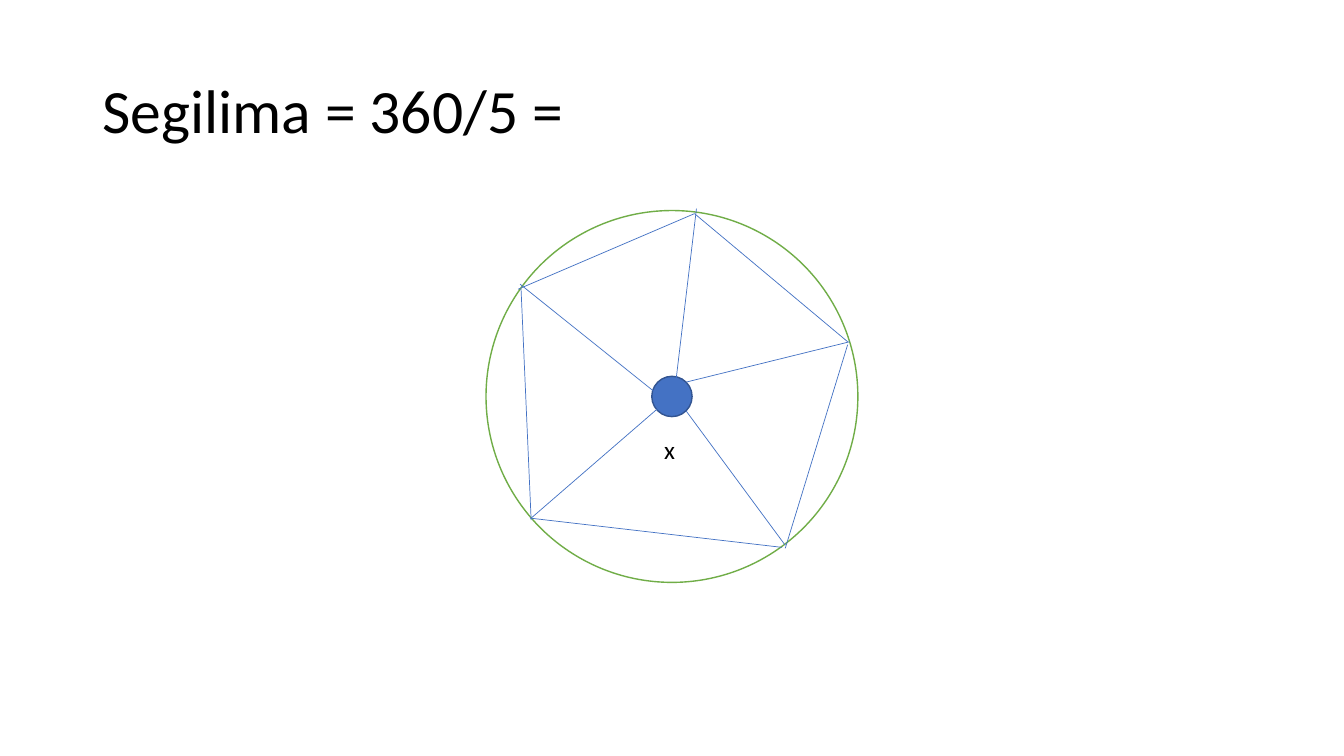
from dataclasses import dataclass

from lxml import etree
from pptx import Presentation
from pptx.dml.color import RGBColor
from pptx.enum.shapes import MSO_CONNECTOR, MSO_SHAPE
from pptx.enum.text import MSO_ANCHOR, MSO_AUTO_SIZE, PP_ALIGN
from pptx.oxml.ns import qn
from pptx.util import Pt

ELLIPSE = MSO_SHAPE.OVAL
STRAIGHT = MSO_CONNECTOR.STRAIGHT
LEFT = PP_ALIGN.LEFT
TOP, MIDDLE = MSO_ANCHOR.TOP, MSO_ANCHOR.MIDDLE
GROW = MSO_AUTO_SIZE.SHAPE_TO_FIT_TEXT
NO_FIT = MSO_AUTO_SIZE.NONE
TITLE_ONLY = 5


@dataclass(frozen=True)
class Theme:
    font: str = "Calibri"
    ink: str = "000000"
    paper: str = "FFFFFF"
    green: str = "70AD47"
    blue: str = "4472C4"
    dark_blue: str = "325491"
    title_size: float = 44
    label_size: float = 18
    outline: float = 1
    hairline: float = 0.5


class Board:
    def __init__(self, slide, theme):
        self.slide = slide
        self.theme = theme

    def stroke(self, line, color, width):
        line.color.rgb = RGBColor.from_string(color)
        line.width = Pt(width)

    def set_text(self, frame, text, size, spacing=1.0, **frame_format):
        for name, value in frame_format.items():
            setattr(frame, name, value)
        paragraph = frame.paragraphs[0]
        paragraph.text = text
        paragraph.alignment = LEFT
        paragraph.line_spacing = spacing
        font = paragraph.runs[0].font
        for name, value in {"name": self.theme.font, "size": Pt(size)}.items():
            setattr(font, name, value)
        font.color.rgb = RGBColor.from_string(self.theme.ink)

    def title(self, text, left, top, width, height):
        heading = self.slide.shapes.title
        place = {"left": left, "top": top, "width": width, "height": height}
        for name, value in place.items():
            setattr(heading, name, Pt(value))
        self.set_text(heading.text_frame, text, self.theme.title_size, 0.9,
                      vertical_anchor=MIDDLE, word_wrap=True, auto_size=NO_FIT)

    def label(self, text, left, top, width, height):
        box = self.slide.shapes.add_textbox(Pt(left), Pt(top), Pt(width), Pt(height))
        self.set_text(box.text_frame, text, self.theme.label_size,
                      vertical_anchor=TOP, word_wrap=False, auto_size=GROW)

    def circle(self, center, radius, fill, outline):
        x, y = center
        disc = self.slide.shapes.add_shape(
            ELLIPSE, Pt(x - radius), Pt(y - radius), Pt(2 * radius), Pt(2 * radius))
        disc.shadow.inherit = False
        disc.fill.solid()
        disc.fill.fore_color.rgb = RGBColor.from_string(fill)
        self.stroke(disc.line, outline, self.theme.outline)

    def segment(self, start, end):
        points = [Pt(value) for value in (*start, *end)]
        segment = self.slide.shapes.add_connector(STRAIGHT, *points)
        self.stroke(segment.line, self.theme.blue, self.theme.hairline)
        etree.SubElement(segment._element.spPr, qn("a:effectLst"))


theme = Theme()
deck = Presentation()
deck.slide_width, deck.slide_height = Pt(960), Pt(540)
board = Board(deck.slides.add_slide(deck.slide_layouts[TITLE_ONLY]), theme)

center = (480, 283.2)
spokes = [
    ((490.3, 293.8), (560.9, 389.5)),
    ((475.9, 286.6), (379.4, 370.1)),
    ((490.3, 272.9), (607, 244.1)),
    ((475.9, 286.6), (371.5, 203)),
    ((481.7, 281.5), (497.5, 149)),
]
pentagon_sides = [
    ((496.1, 152.6), (605.5, 244.1)),
    ((605.5, 246.2), (560.9, 391.7)),
    ((558.7, 391), (378.7, 370.1)),
    ((379.4, 371.5), (372.2, 206.6)),
    ((370.1, 206.6), (496.1, 152.6)),
]

board.title("Segilima = 360/5 =", 66, 28.8, 828, 104.4)
board.circle(center, 132.8, theme.paper, theme.green)
board.circle(center, 14.4, theme.blue, theme.dark_blue)
for start, end in spokes + pentagon_sides:
    board.segment(start, end)
board.label("x", 467.3, 306.7, 20.2, 28.8)

deck.save("out.pptx")
